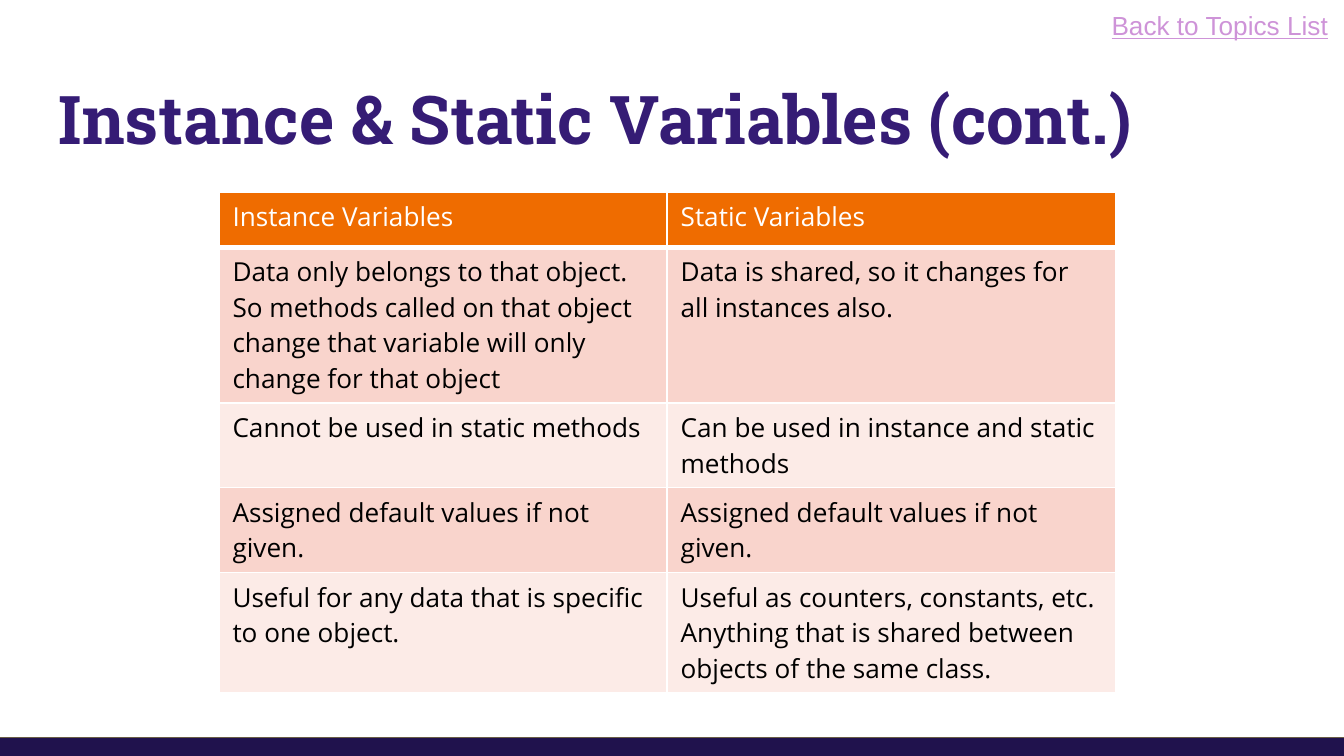
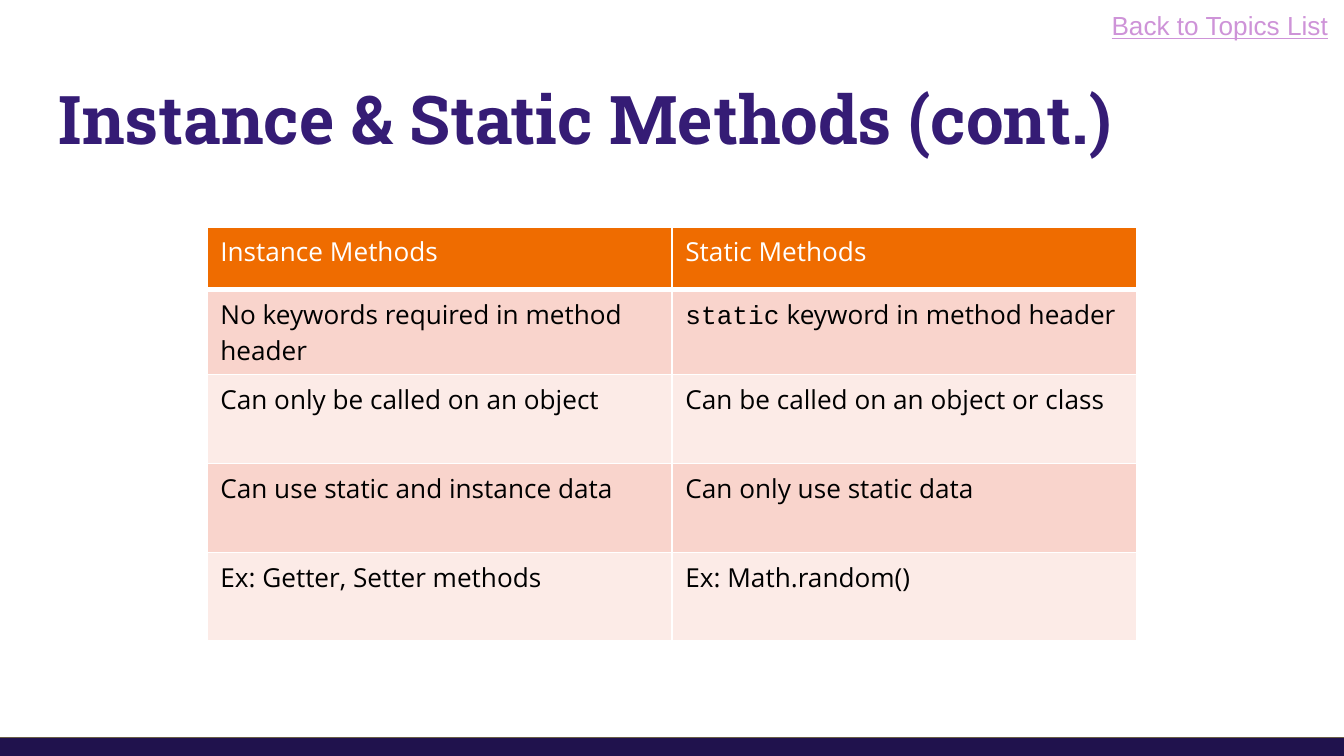
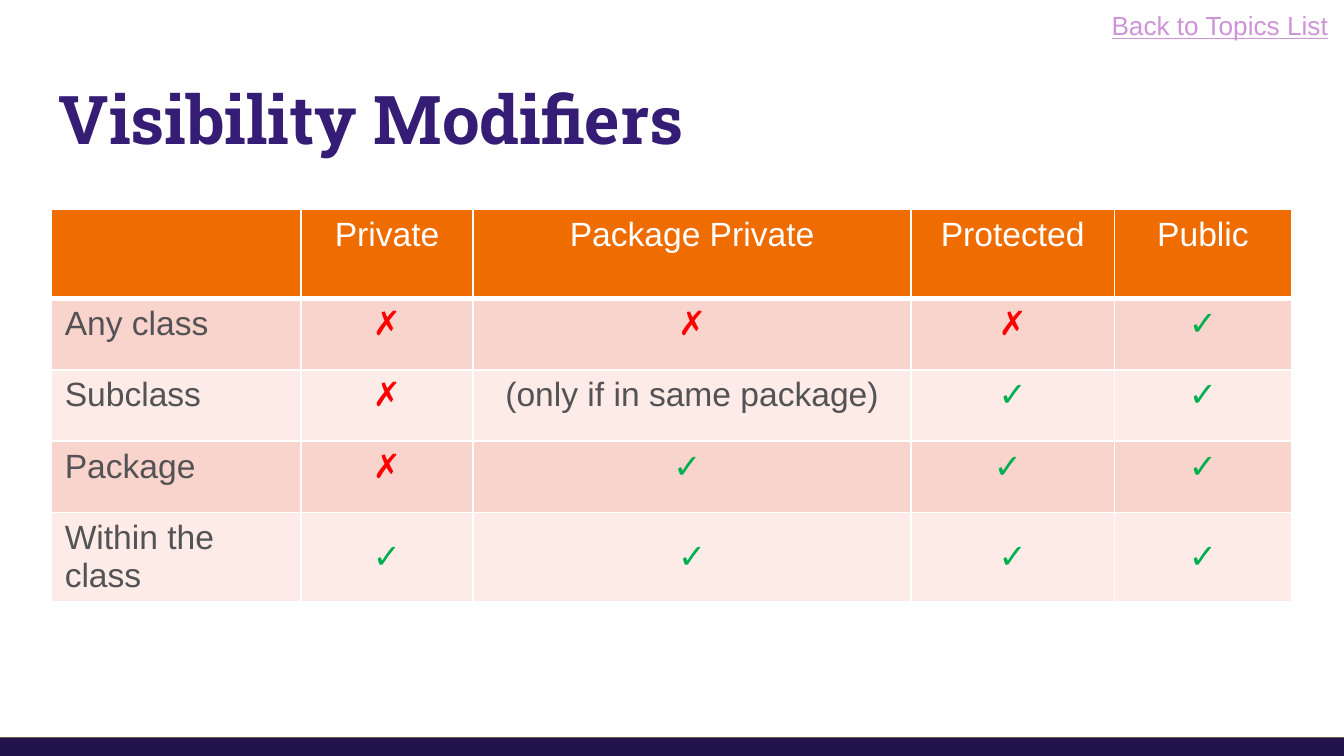
"""Build three slides that compare Java members and visibility modifiers."""
from dataclasses import dataclass

from lxml.etree import SubElement as Sub
from pptx import Presentation
from pptx.dml.color import RGBColor as Rgb
from pptx.enum.shapes import MSO_SHAPE as Kind
from pptx.enum.text import MSO_ANCHOR as Anchor, PP_ALIGN as Align
from pptx.oxml.ns import qn
from pptx.util import Cm, Pt


@dataclass(frozen=True)
class Theme:
    """Colours, fonts and type sizes of the deck."""

    head: str = "351C75"
    bar: str = "20124D"
    edge: str = "695D46"
    link: str = "CE93D8"
    top: str = "EF6C00"
    odd: str = "F9D4CC"
    even: str = "FCEBE7"
    white: str = "FFFFFF"
    black: str = "000000"
    grey: str = "535254"
    yes: str = "00B050"
    no: str = "FF0000"
    slab: str = "Roboto Slab"
    sans: str = "Open Sans"
    plain: str = "Arial"
    code: str = "Courier New"
    big: int = 36
    mid: int = 18
    small: int = 14


T = Theme()
WIDE, HIGH = 25.4, 14.29
HEAD = (0.86, 1.24, 23.67, 1.96)
BAR = (-0.25, 13.94, 25.7, 0.56)
NAV = (20.5, 0.05, 4.85, 0.86)

PAGES = [
    {
        "title": "Instance & Static Variables (cont.)",
        "spot": (4.14, 3.63),
        "cols": [8.47] * 2,
        "rows": [1.04] * 5,
        "look": {"name": T.sans, "size": Pt(T.small)},
        "ink": T.black,
        "grid": False,
        "data": [
            ("Instance Variables", "Static Variables"),
            ("Data only belongs to that object. So methods called on that object "
             "change that variable will only change for that object",
             "Data is shared, so it changes for all instances also."),
            ("Cannot be used in static methods",
             "Can be used in instance and static methods"),
            ("Assigned default values if not given.",) * 2,
            ("Useful for any data that is specific to one object.",
             "Useful as counters, constants, etc. Anything that is shared "
             "between objects of the same class."),
        ],
    },
    {
        "title": "Instance & Static Methods (cont.)",
        "spot": (3.91, 4.29),
        "cols": [8.79] * 2,
        "rows": [1.19] * 2 + [1.68] * 3,
        "look": {"name": T.sans, "size": Pt(T.small)},
        "ink": T.black,
        "grid": False,
        "data": [
            ("Instance Methods", "Static Methods"),
            ("No keywords required in method header",
             "`static` keyword in method header"),
            ("Can only be called on an object",
             "Can be called on an object or class"),
            ("Can use static and instance data", "Can only use static data"),
            ("Ex: Getter, Setter methods", "Ex: Math.random()"),
        ],
    },
    {
        "title": "Visibility Modifiers",
        "spot": (0.97, 3.96),
        "cols": [4.72, 3.25, 8.28, 3.84, 3.35],
        "rows": [1.68] + [1.35] * 4,
        "look": {"name": T.plain, "size": Pt(T.mid)},
        "ink": T.grey,
        "grid": True,
        "data": [
            ("", "Private", "Package Private", "Protected", "Public"),
            ("Any class", "✗", "✗", "✗", "✓"),
            ("Subclass", "✗", "(only if in same package)", "✓", "✓"),
            ("Package", "✗", "✓ ", "✓ ", "✓"),
            ("Within the class", "✓", "✓", "✓", "✓"),
        ],
    },
]


def put(part, vals):
    """Set each named value on a part."""
    for key, val in vals.items():
        setattr(part, key, val)


def style(font, ink, vals):
    """Give a font its colour and format values."""
    put(font, vals)
    font.color.rgb = Rgb.from_string(ink)


def place(part, box):
    """Move a part to a box in centimetres."""
    put(part, dict(zip(("left", "top", "width", "height"), map(Cm, box))))


def write(para, text, ink, look):
    """Fill a paragraph, with text between backticks set as code."""
    for num, bit in enumerate(text.split("`")):
        if bit:
            run = para.add_run()
            run.text = bit
            style(run.font, ink, {**look, "name": T.code} if num % 2 else look)


def title(slide, box, text):
    """Place and format the title."""
    head = slide.shapes.title
    place(head, box)
    put(head.text_frame, {"word_wrap": True, "vertical_anchor": Anchor.MIDDLE,
                          **{f"margin_{side}": Cm(0.25)
                             for side in ("left", "top", "right", "bottom")}})
    para = head.text_frame.paragraphs[0]
    para.alignment = Align.LEFT
    write(para, text, T.head, {"name": T.slab, "size": Pt(T.big), "bold": True})


def band(slide, box):
    """Draw the dark band at the foot."""
    bar = slide.shapes.add_shape(Kind.RECTANGLE, *map(Cm, box))
    bar.shadow.inherit = False
    bar.fill.solid()
    bar.fill.fore_color.rgb = Rgb.from_string(T.bar)
    bar.line.color.rgb = Rgb.from_string(T.edge)
    bar.line.width = Pt(0.75)


def nav(slide, box):
    """Write the way back in the top right corner."""
    frame = slide.shapes.add_textbox(*map(Cm, box)).text_frame
    frame.word_wrap = True
    para = frame.paragraphs[0]
    para.alignment = Align.RIGHT
    write(para, "Back to Topics List", T.link,
          {"name": T.plain, "size": Pt(T.small), "underline": True})


def rule(cell, foot):
    """Draw white cell borders, with the lower one of the given weight."""
    props = cell._tc.get_or_add_tcPr()
    for side, size in zip("LRTB", (1, 1, 1, foot)):
        line = Sub(props, qn(f"a:ln{side}"), w=str(Pt(size)))
        Sub(Sub(line, qn("a:solidFill")), qn("a:srgbClr"), val=T.white)


def table(slide, box, page):
    """Build the banded table of a page in its box."""
    data, cols, rows = page["data"], page["cols"], page["rows"]
    grid = slide.shapes.add_table(len(rows), len(cols), *map(Cm, box)).table
    put(grid, {"first_row": False, "horz_banding": False})
    for col, size in zip(grid.columns, cols):
        col.width = Cm(size)
    for row, size in zip(grid.rows, rows):
        row.height = Cm(size)
    marks = {"✓": T.yes, "✗": T.no}
    for y, line in enumerate(data):
        fill = (T.odd if y % 2 else T.even) if y else T.top
        for x, text in enumerate(line):
            cell = grid.cell(y, x)
            rule(cell, 1 if y else 3)
            cell.fill.solid()
            cell.fill.fore_color.rgb = Rgb.from_string(fill)
            para = cell.text_frame.paragraphs[0]
            ink = marks.get(text.strip(), page["ink"]) if y else T.white
            write(para, text, ink, page["look"])
            if page["grid"] and x:
                para.alignment = Align.CENTER
                if y == len(rows) - 1:
                    cell.vertical_anchor = Anchor.MIDDLE


def build(deck, page):
    """Add one slide with its title, band, table and way back."""
    slide = deck.slides.add_slide(deck.slide_layouts[5])
    title(slide, HEAD, page["title"])
    band(slide, BAR)
    table(slide, (*page["spot"], sum(page["cols"]), sum(page["rows"])), page)
    nav(slide, NAV)


def main():
    """Build and save the deck."""
    deck = Presentation()
    put(deck, {"slide_width": Cm(WIDE), "slide_height": Cm(HIGH)})
    for page in PAGES:
        build(deck, page)
    deck.save("out.pptx")


if __name__ == "__main__":
    main()
